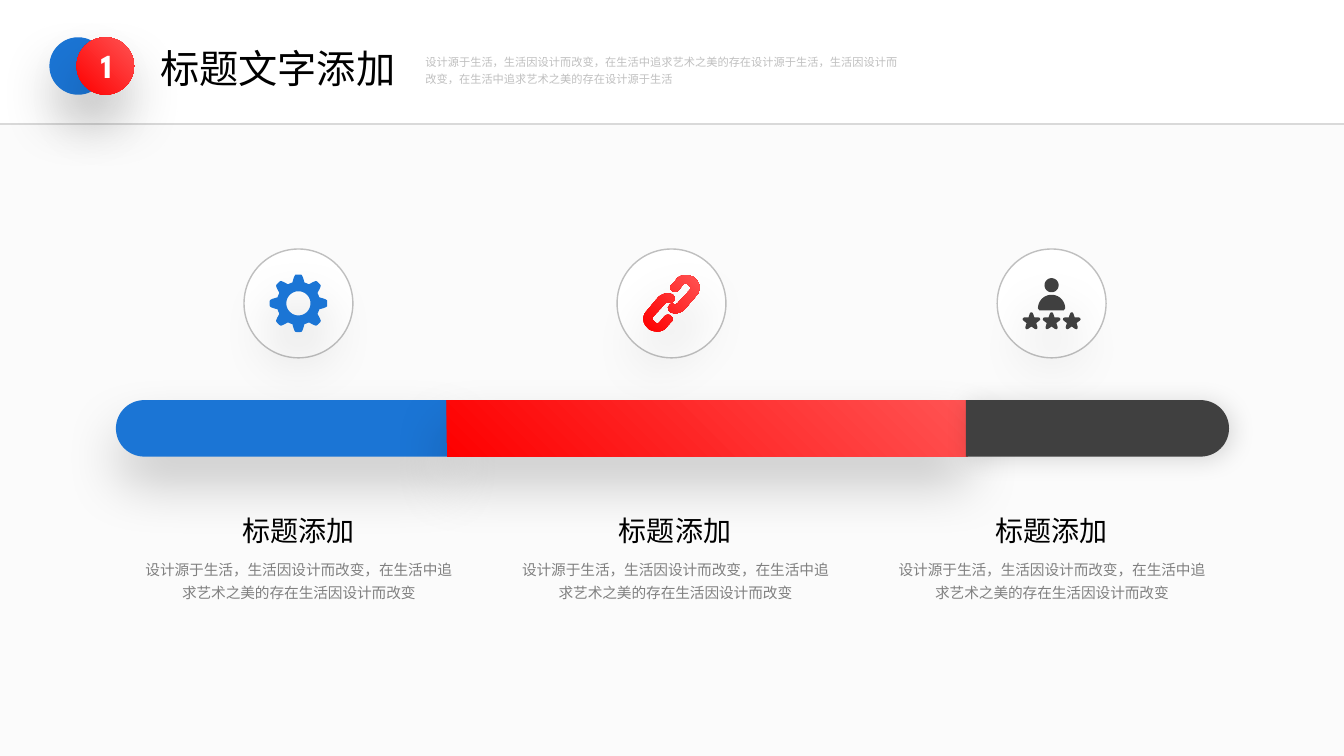
from math import cos, pi, sin

from lxml.etree import SubElement
from pptx import Presentation
from pptx.dml.color import RGBColor
from pptx.enum.shapes import MSO_CONNECTOR as Connector, MSO_SHAPE as Preset
from pptx.enum.text import MSO_ANCHOR as Anchor, MSO_AUTO_SIZE as AutoSize, PP_ALIGN as Align
from pptx.oxml.ns import qn
from pptx.util import Inches, Pt

COLORS = {
    "white": "FFFFFF", "panel": "FBFBFB", "rule": "D9D9D9", "ring": "BFBFBF",
    "blue": "1B75D5", "red": "FE0000", "light_red": "FF5353", "dark": "404040",
    "black": "000000", "grey": "808080",
}
GRADIENT = ("red", "light_red")
SOFT_SHADOW = (20, 40, 20, 90)
TIGHT_SHADOW = (15, 18, 3, 45)
LATIN, CHINESE = "League Spartan", "Noto Sans CJK SC"

INTRO = "设计源于生活，生活因设计而改变，在生活中追求艺术之美的存在设计源于生活，生活因设计而改变，在生活中追求艺术之美的存在设计源于生活"
DETAIL = "设计源于生活，生活因设计而改变，在生活中追求艺术之美的存在生活因设计而改变"

LINK_START = (6.62, 2.91)
LINK_SEGMENTS = [
    [(6.64, 2.91), (6.66, 2.92), (6.67, 2.92)], [(6.68, 2.93), (6.69, 2.94), (6.69, 2.95)],
    [(6.7, 2.97), (6.69, 2.98), (6.68, 2.99)], [(6.67, 3.01), (6.65, 3.01), (6.63, 3)],
    [(6.62, 3), (6.61, 3), (6.6, 3.01)], [(6.48, 3.14)],
    [(6.47, 3.15), (6.47, 3.16), (6.47, 3.16)], [(6.47, 3.17), (6.47, 3.18), (6.48, 3.18)],
    [(6.5, 3.2)], [(6.51, 3.21), (6.53, 3.21), (6.54, 3.2)], [(6.59, 3.14)],
    [(6.61, 3.12), (6.63, 3.12), (6.65, 3.13)], [(6.66, 3.14)],
    [(6.66, 3.14), (6.67, 3.15), (6.67, 3.16)], [(6.67, 3.18), (6.67, 3.19), (6.66, 3.19)],
    [(6.6, 3.26)], [(6.58, 3.28), (6.55, 3.29), (6.52, 3.29)],
    [(6.49, 3.29), (6.46, 3.28), (6.44, 3.27)], [(6.42, 3.25)],
    [(6.37, 3.21), (6.37, 3.13), (6.41, 3.09)], [(6.53, 2.95)],
    [(6.55, 2.93), (6.59, 2.91), LINK_START],
]


def polar(x, y, radius, degrees):
    """Return the point at an angle measured clockwise from the right."""
    angle = degrees * pi / 180
    return x + radius * cos(angle), y + radius * sin(angle)


def arc(x, y, radius, start, end, steps=48):
    """Return evenly spaced points along an arc."""
    return [polar(x, y, radius, start + (end - start) * i / steps) for i in range(steps + 1)]


def trace(start, segments, steps=6):
    """Return the points along straight and cubic segments."""
    points = [start]
    for segment in segments:
        if len(segment) == 1:
            points += segment
            continue
        corners = [points[-1], *segment]
        for t in (i / steps for i in range(1, steps + 1)):
            weights = ((1 - t) ** 3, 3 * t * (1 - t) ** 2, 3 * t * t * (1 - t), t ** 3)
            points.append(tuple(sum(w * c[axis] for w, c in zip(weights, corners)) for axis in (0, 1)))
    return points


def gear(x, y):
    """Return the outlines of an eight-toothed gear with a round hole."""
    def radius(degrees):
        """Return the rim radius at an angle."""
        return 0.25 + 0.035 * max(-1, min(1, 1.6 * cos(8 * degrees * pi / 180)))
    rim = [polar(x, y, radius(degrees), degrees) for degrees in range(0, 360, 2)]
    return [rim, arc(x, y, 0.12, 360, 0)]


def chain(x, y):
    """Return the outlines of two links, one the half turn of the other."""
    lower = trace(LINK_START, LINK_SEGMENTS)
    return [lower, [(2 * x - px, 2 * y - py) for px, py in lower]]


def star(x, y):
    """Return the outline of a blunt five-pointed star."""
    points = []
    for tip in range(-90, 270, 72):
        points += [polar(x, y, radius, tip + turn)
                   for radius, turn in ((0.08, -12), (0.09, -5), (0.09, 5), (0.08, 12), (0.05, 36))]
    return points


def rated_person(x, y):
    """Return the outlines of a head, shoulders and three stars."""
    shoulders = arc(x, y + 0.05, 0.135, 180, 360)
    shoulders += [(x + 0.12, y + 0.07), (x - 0.12, y + 0.07)]
    stars = [star(x + offset, y + 0.18) for offset in (-0.2, 0, 0.2)]
    return [arc(x, y - 0.18, 0.07, 0, 360), shoulders, *stars]


class SlideBuilder:
    """Hold the style and the current slide."""

    def __init__(self, presentation):
        """Add a slide with a title."""
        self.slide = presentation.slides.add_slide(presentation.slide_layouts[5])

    def color(self, name):
        """Return a named colour."""
        return RGBColor.from_string(COLORS[name])

    def paint(self, shape, fill, line=None, shadow=None):
        """Set fill, outline and shadow."""
        if isinstance(fill, tuple):
            shape.fill.gradient()
            shape.fill.gradient_angle = 45
            for stop, name in zip(shape.fill.gradient_stops, fill):
                stop.color.rgb = self.color(name)
        else:
            shape.fill.solid()
            shape.fill.fore_color.rgb = self.color(fill)
        if line:
            shape.line.color.rgb = self.color(line)
            shape.line.width = Pt(1)
        else:
            shape.line.fill.background()
        shape.shadow.inherit = False
        if shadow:
            alpha, blur, distance, direction = shadow
            effects = shape._element.spPr.find(qn("a:effectLst"))
            outer = SubElement(effects, qn("a:outerShdw"), blurRad=str(Pt(blur)), dist=str(Pt(distance)),
                               dir=str(direction * 60000), algn="ctr", rotWithShape="0")
            black = SubElement(outer, qn("a:srgbClr"), val=COLORS["black"])
            SubElement(black, qn("a:alpha"), val=str(alpha * 1000))

    def preset(self, kind, box, fill, line=None, shadow=None):
        """Add a preset shape."""
        shape = self.slide.shapes.add_shape(kind, *map(Inches, box))
        self.paint(shape, fill, line, shadow)

    def outline(self, contours, fill, shadow):
        """Add a freeform made of closed contours."""
        contours = [[(Inches(x), Inches(y)) for x, y in contour] for contour in contours]
        builder = self.slide.shapes.build_freeform(*contours[0][0], scale=1.0)
        for index, contour in enumerate(contours):
            if index:
                builder.move_to(*contour[0])
            builder.add_line_segments(contour[1:], close=True)
        self.paint(builder.convert_to_shape(), fill, shadow=shadow)

    def rule(self, y, width):
        """Add a horizontal line across the slide."""
        line = self.slide.shapes.add_connector(Connector.STRAIGHT, 0, Inches(y), Inches(width), Inches(y))
        line.line.color.rgb = self.color("rule")
        line.line.width = Pt(1.5)
        SubElement(line._element.spPr, qn("a:effectLst"))

    def fill_text(self, shape, text, size, color, font, align, wrap=False, bold=False, spacing=None):
        """Fill a shape with one formatted run."""
        frame = shape.text_frame
        frame.auto_size = AutoSize.NONE
        frame.word_wrap = wrap
        frame.vertical_anchor = Anchor.TOP
        paragraph = frame.paragraphs[0]
        paragraph.alignment = align
        if spacing:
            paragraph.line_spacing = spacing
        run = paragraph.add_run()
        run.text = text
        run.font.size, run.font.bold, run.font.name = Pt(size), bold, font
        run.font.color.rgb = self.color(color)
        SubElement(run._r.get_or_add_rPr(), qn("a:ea"), typeface=CHINESE)

    def title(self, box, text):
        """Place and fill the title."""
        shape = self.slide.shapes.title
        shape.left, shape.top, shape.width, shape.height = map(Inches, box)
        self.fill_text(shape, text, 28, "black", CHINESE, Align.LEFT)

    def text(self, box, *content, **style):
        """Add a text box."""
        self.fill_text(self.slide.shapes.add_textbox(*map(Inches, box)), *content, **style)


def main():
    """Build and save the slide."""
    presentation = Presentation()
    presentation.slide_width, presentation.slide_height = Inches(13.33), Inches(7.5)
    builder = SlideBuilder(presentation)
    builder.preset(Preset.RECTANGLE, (0, 1.23, 13.33, 6.27), "panel")
    builder.rule(1.23, 13.33)
    builder.title((1.49, 0.39, 2.56, 0.57), "标题文字添加")

    for column in range(3):
        left = 1.34 + 3.735 * column
        builder.text((left, 5.46, 3.25, 0.56), DETAIL, 10.5, "grey", LATIN, Align.CENTER, wrap=True, spacing=1.3)
        builder.text((left + 0.96, 5.05, 1.32, 0.44), "标题添加", 20, "black", CHINESE, Align.CENTER)

    top, bottom, middle, cap = 3.97, 4.53, 4.25, 0.28
    builder.outline([arc(1.43, middle, cap, 90, 270) + [(4.44, top), (4.44, bottom)]], "blue", SOFT_SHADOW)
    builder.outline([[(4.43, top), (9.6, top), (9.6, bottom), (4.43, bottom)]], GRADIENT, SOFT_SHADOW)
    builder.outline([arc(11.91, middle, cap, -90, 90) + [(9.58, bottom), (9.58, top)]], "dark", TIGHT_SHADOW)

    icons = ((2.96, gear, "blue"), (6.66, chain, GRADIENT), (10.43, rated_person, "dark"))
    for center, icon, fill in icons:
        builder.preset(Preset.OVAL, (center - 0.54, 2.47, 1.08, 1.08), "white", line="ring")
        builder.outline(icon(center, 3.01), fill, SOFT_SHADOW)

    for left, fill in ((0.49, "blue"), (0.76, GRADIENT)):
        builder.preset(Preset.OVAL, (left, 0.37, 0.57, 0.57), fill, shadow=SOFT_SHADOW)
    builder.text((4.12, 0.46, 4.91, 0.43), INTRO, 8, "ring", LATIN, Align.LEFT, wrap=True, spacing=1.3)
    builder.text((0.86, 0.4, 0.39, 0.5), "1", 24, "white", LATIN, Align.CENTER, bold=True)
    presentation.save("out.pptx")


if __name__ == "__main__":
    main()
